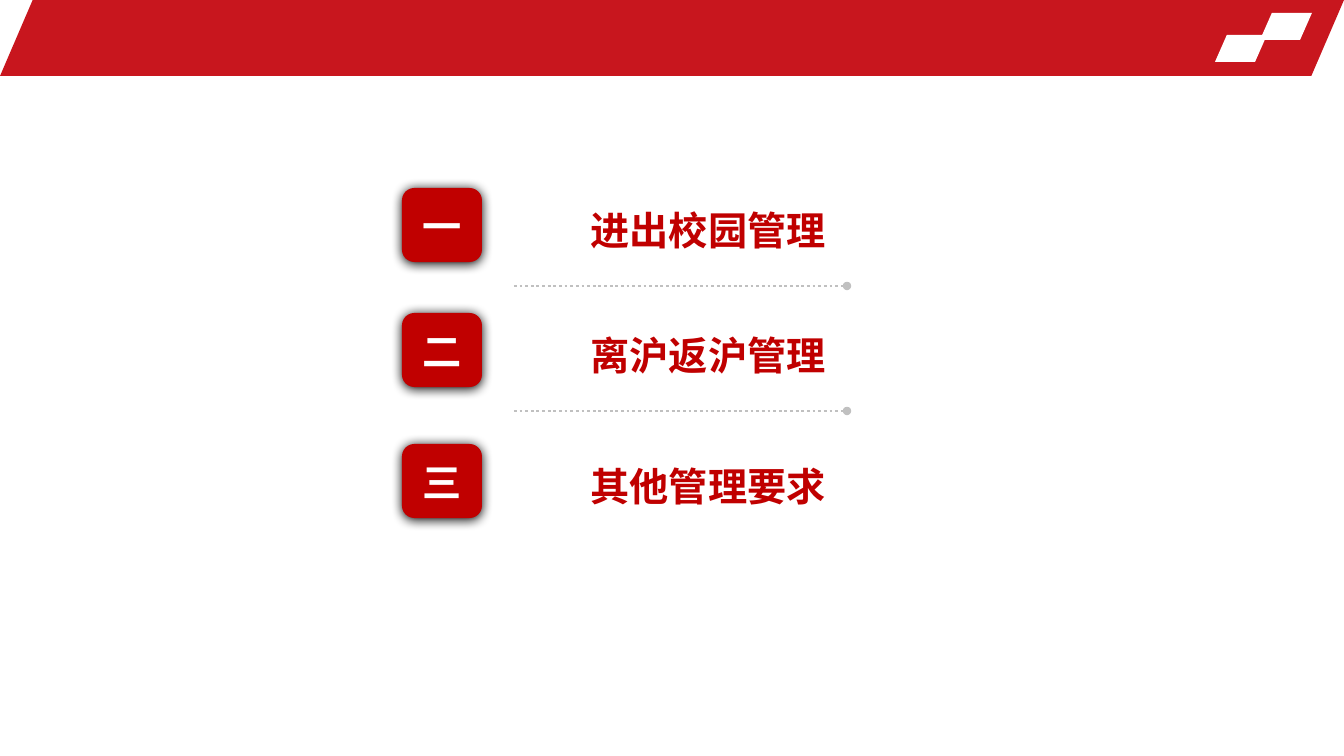
from lxml.etree import SubElement
from pptx import Presentation
from pptx.dml.color import RGBColor
from pptx.enum.dml import MSO_LINE
from pptx.enum.shapes import MSO_CONNECTOR, MSO_SHAPE
from pptx.enum.text import MSO_ANCHOR, MSO_AUTO_SIZE, PP_ALIGN
from pptx.oxml.ns import qn
from pptx.util import Pt

# Content: numeral, heading, top of the row in px
SECTIONS = [
    ("一", "进出校园管理", 188),
    ("二", "离沪返沪管理", 313),
    ("三", "其他管理要求", 444),
]

BANNER_RED = RGBColor(0xC8, 0x16, 0x1E)
DARK_RED = RGBColor(0xC0, 0x00, 0x00)
WHITE = RGBColor(0xFF, 0xFF, 0xFF)
GREY = RGBColor(0xC0, 0xC0, 0xC0)
FONT = "Times New Roman"

# Header parallelograms: left, top, width, height, slant, colour
HEADER = [
    (0, 0, 1344, 76, 0.43, BANNER_RED),
    (1260, 13, 52, 27, 0.44, WHITE),
    (1215, 35, 52, 27, 0.44, WHITE),
]

SLIDE_W, SLIDE_H = 1344, 756
BADGE_LEFT, BADGE_W, BADGE_H = 402, 80, 74
HEADING_LEFT, HEADING_W, HEADING_H = 538, 340, 53
HEADING_DROP, DIVIDER_DROP = 17, 98
DIVIDER_LEFT, DIVIDER_RIGHT = 514, 847


def px(length):
    return round(length * 914400 / 100.8)


def add_block(slide, kind, box, fill):
    block = slide.shapes.add_shape(kind, *map(px, box))
    block.shadow.inherit = False
    block.fill.solid()
    block.fill.fore_color.rgb = fill
    block.line.fill.background()
    return block


def write(block, text, colour, top_inset):
    frame = block.text_frame
    frame.word_wrap = True
    frame.vertical_anchor = MSO_ANCHOR.MIDDLE
    frame.margin_left = frame.margin_right = px(10)
    frame.margin_top, frame.margin_bottom = px(top_inset), px(5)
    paragraph = frame.paragraphs[0]
    paragraph.text = text
    paragraph.alignment = PP_ALIGN.CENTER
    paragraph.font.name = FONT
    paragraph.font.size = Pt(28)
    paragraph.font.bold = True
    paragraph.font.color.rgb = colour


def add_soft_shadow(block):
    effects = block._element.spPr.find(qn("a:effectLst"))
    shadow = SubElement(effects, qn("a:outerShdw"), blurRad=str(Pt(8.5)),
                        dist=str(Pt(1)), dir="5400000", algn="t", rotWithShape="0")
    SubElement(shadow, qn("a:srgbClr"), val="000000")


def add_divider(slide, y):
    """Dotted grey line ending in a dot."""
    divider = slide.shapes.add_connector(
        MSO_CONNECTOR.STRAIGHT, px(DIVIDER_LEFT), px(y), px(DIVIDER_RIGHT), px(y))
    divider.line.color.rgb = GREY
    divider.line.width = Pt(2)
    divider.line.dash_style = MSO_LINE.ROUND_DOT
    properties = divider._element.spPr
    SubElement(properties.find(qn("a:ln")), qn("a:tailEnd"), type="oval")
    SubElement(properties, qn("a:effectLst"))


def main():
    deck = Presentation()
    deck.slide_width, deck.slide_height = px(SLIDE_W), px(SLIDE_H)
    slide = deck.slides.add_slide(deck.slide_layouts[6])

    for *box, slant, colour in HEADER:
        band = add_block(slide, MSO_SHAPE.PARALLELOGRAM, box, colour)
        band.adjustments[0] = slant

    for numeral, heading, top in SECTIONS:
        badge = add_block(slide, MSO_SHAPE.ROUNDED_RECTANGLE,
                          (BADGE_LEFT, top, BADGE_W, BADGE_H), DARK_RED)
        add_soft_shadow(badge)
        write(badge, numeral, WHITE, top_inset=6)

        label = add_block(slide, MSO_SHAPE.RECTANGLE,
                          (HEADING_LEFT, top + HEADING_DROP, HEADING_W, HEADING_H), WHITE)
        write(label, heading, DARK_RED, top_inset=1)
        label.text_frame.auto_size = MSO_AUTO_SIZE.SHAPE_TO_FIT_TEXT

    for _, _, top in SECTIONS[:-1]:
        add_divider(slide, top + DIVIDER_DROP)

    deck.save("out.pptx")


if __name__ == "__main__":
    main()
